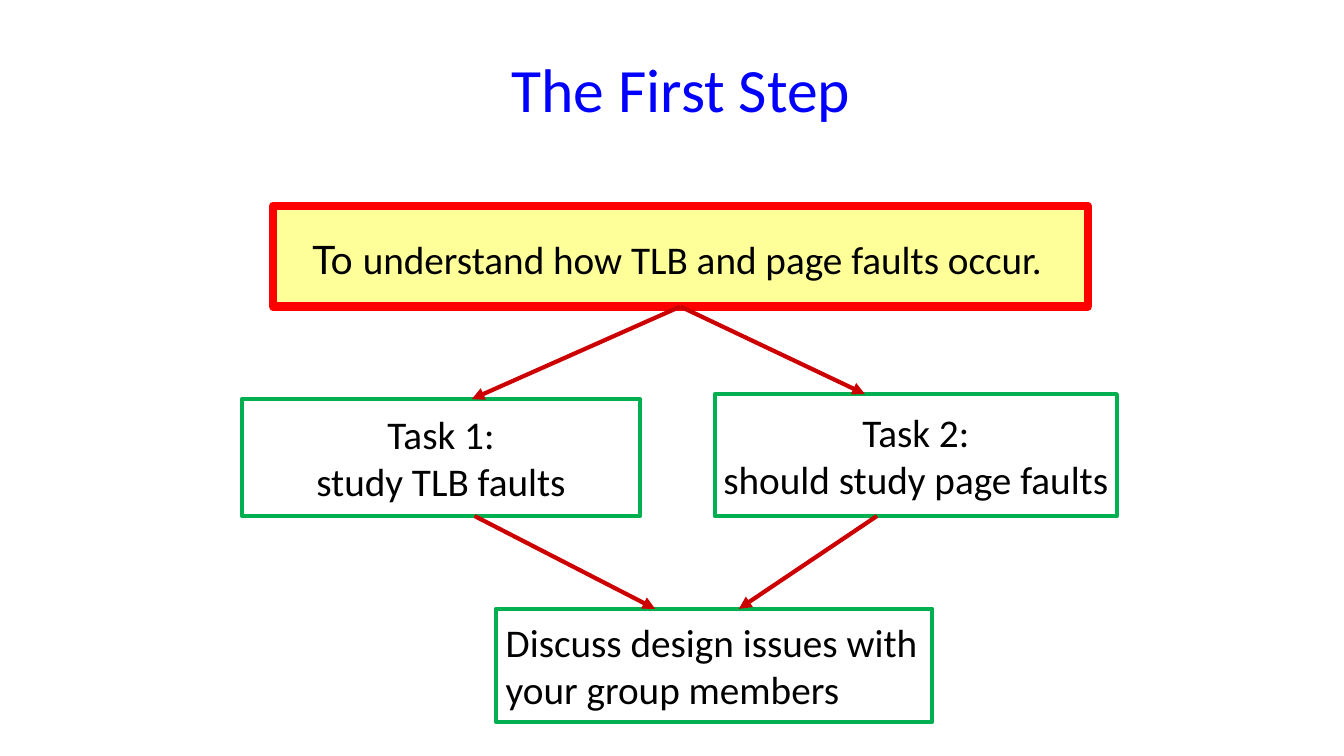
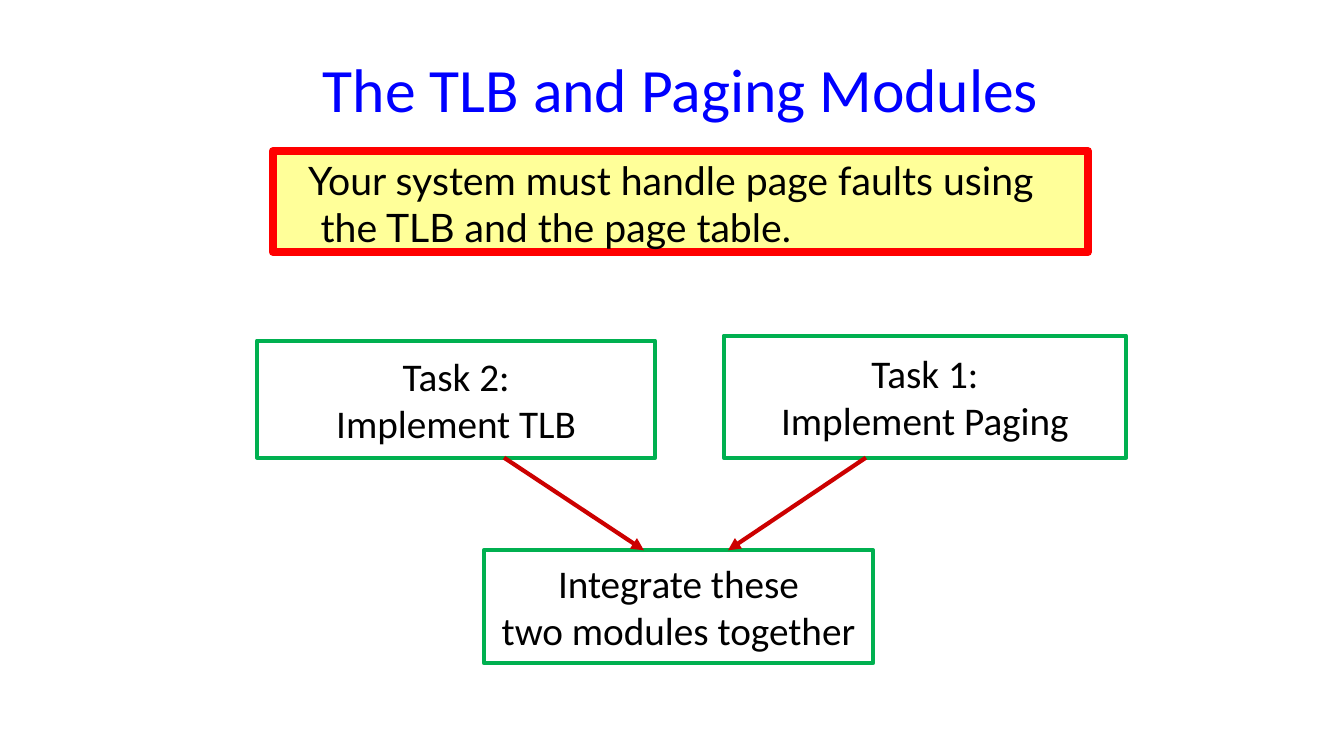
from lxml import etree
from pptx import Presentation
from pptx.dml.color import RGBColor
from pptx.enum import shapes, text
from pptx.oxml.ns import qn
from pptx.util import Pt

COLORS = {
    "title": "0000FF", "text": "000000",
    "goal_fill": "FFFF99", "goal_line": "FF0000",
    "step_fill": "FFFFFF", "step_line": "00B050",
    "arrow": "CC0000",
}
FONT, GOAL_FONT = "Calibri", "Lato"
BODY_SIZE = 28
CENTER, LEFT = text.PP_ALIGN.CENTER, text.PP_ALIGN.LEFT

# Sizes shared by both slides, in points
TITLE_BOX = (150.5, 30, 672, 66)
GOAL_LEFT, GOAL_SIZE = 195, (582, 72)
GOAL_INDENT = 27
LEFT_TASK_SIZE, RIGHT_TASK_SIZE = (284.4, 83.5), (287.3, 87.1)
OUTCOME_HEIGHT = 80.6

# Steps: left, top, size, lines, alignment.
# Arrows: from, x of its start, to, x of its end; None is the middle of the side.
SLIDES = [
    {
        "title": "The First Step",
        "goal": {
            "top": 147, "inset": 21, "first_line": -6,
            "runs": [("To ", GOAL_FONT),
                     ("understand how TLB and page faults occur.", FONT)],
        },
        "steps": {
            "left task": (172.8, 285.1, LEFT_TASK_SIZE,
                          ["Task 1:", "study TLB faults"], CENTER),
            "right task": (510.5, 281.5, RIGHT_TASK_SIZE,
                           ["Task 2:", "should study page faults"], CENTER),
            "outcome": (354.2, 434.9, (311.8, OUTCOME_HEIGHT),
                        ["Discuss design issues with", "your group members"], LEFT),
        },
        "arrows": [
            ("goal", None, "left task", 337),
            ("goal", None, "right task", 617.8),
            ("left task", 339, "outcome", 468),
            ("right task", 626.4, "outcome", 527.8),
        ],
    },
    {
        "title": "The TLB and Paging Modules",
        "goal": {
            "top": 108, "inset": 3.6, "first_line": -9,
            "runs": [("Your system must handle page faults using "
                      "the TLB and the page table.", GOAL_FONT)],
        },
        "steps": {
            "left task": (183.6, 243.4, LEFT_TASK_SIZE,
                          ["Task 2:", "Implement TLB"], CENTER),
            "right task": (517, 239.8, RIGHT_TASK_SIZE,
                           ["Task 1:", "Implement Paging"], CENTER),
            "outcome": (345.6, 393.1, (278, OUTCOME_HEIGHT),
                        ["Integrate these", "two modules together"], CENTER),
        },
        "arrows": [
            ("left task", 360, "outcome", 460),
            ("right task", 618.5, "outcome", 520),
        ],
    },
]


def rgb(name):
    return RGBColor.from_string(COLORS[name])


def set_font(font, size, color, name=FONT):
    font.size, font.name = Pt(size), name
    font.color.rgb = rgb(color)


def add_title(slide, title):
    frame = slide.shapes.add_textbox(*map(Pt, TITLE_BOX)).text_frame
    frame.word_wrap = True
    frame.vertical_anchor = text.MSO_ANCHOR.MIDDLE
    heading = frame.paragraphs[0]
    heading.text = title
    heading.alignment = CENTER
    set_font(heading.font, 44, "title")


def add_box(slide, left, top, size, role, line_width):
    box = slide.shapes.add_shape(shapes.MSO_SHAPE.RECTANGLE,
                                 *map(Pt, (left, top, *size)))
    box.shadow.inherit = False
    box.fill.solid()
    box.fill.fore_color.rgb = rgb(role + "_fill")
    box.line.color.rgb = rgb(role + "_line")
    box.line.width = Pt(line_width)
    return box


def add_goal(slide, goal):
    box = add_box(slide, GOAL_LEFT, goal["top"], GOAL_SIZE, "goal", 6)
    frame = box.text_frame
    frame.word_wrap = True
    frame.vertical_anchor = text.MSO_ANCHOR.TOP
    frame.margin_top = Pt(goal["inset"])
    sentence = frame.paragraphs[0]
    sentence.alignment = LEFT
    properties = sentence._p.get_or_add_pPr()
    properties.set("marL", str(Pt(GOAL_INDENT)))
    properties.set("indent", str(Pt(goal["first_line"])))
    for words, font_name in goal["runs"]:
        run = sentence.add_run()
        run.text = words
        set_font(run.font, BODY_SIZE, "text", font_name)
    return box


def add_step(slide, left, top, size, lines, alignment):
    box = add_box(slide, left, top, size, "step", 3)
    frame = box.text_frame
    frame.word_wrap = False
    frame.vertical_anchor = text.MSO_ANCHOR.MIDDLE
    frame.text = "\n".join(lines)
    for paragraph in frame.paragraphs:
        paragraph.alignment = alignment
        set_font(paragraph.font, BODY_SIZE, "text")
    return box


def add_arrow(slide, source, source_x, target, target_x):
    """Draw an arrow from the bottom of source to the top of target."""
    start_x = source.left + source.width // 2 if source_x is None else Pt(source_x)
    arrow = slide.shapes.add_connector(
        shapes.MSO_CONNECTOR.STRAIGHT,
        start_x, source.top + source.height, Pt(target_x), target.top)
    if source_x is None:
        arrow.begin_connect(source, 2)
    arrow.line.color.rgb = rgb("arrow")
    arrow.line.width = Pt(3)
    etree.SubElement(arrow.line._get_or_add_ln(), qn("a:tailEnd"), type="triangle")
    etree.SubElement(arrow._element.spPr, qn("a:effectLst"))


def main():
    deck = Presentation()
    deck.slide_width, deck.slide_height = Pt(960), Pt(540)
    for content in SLIDES:
        slide = deck.slides.add_slide(deck.slide_layouts[6])
        add_title(slide, content["title"])
        boxes = {"goal": add_goal(slide, content["goal"])}
        for name, step in content["steps"].items():
            boxes[name] = add_step(slide, *step)
        for source, source_x, target, target_x in content["arrows"]:
            add_arrow(slide, boxes[source], source_x, boxes[target], target_x)
    deck.save("out.pptx")


if __name__ == "__main__":
    main()
